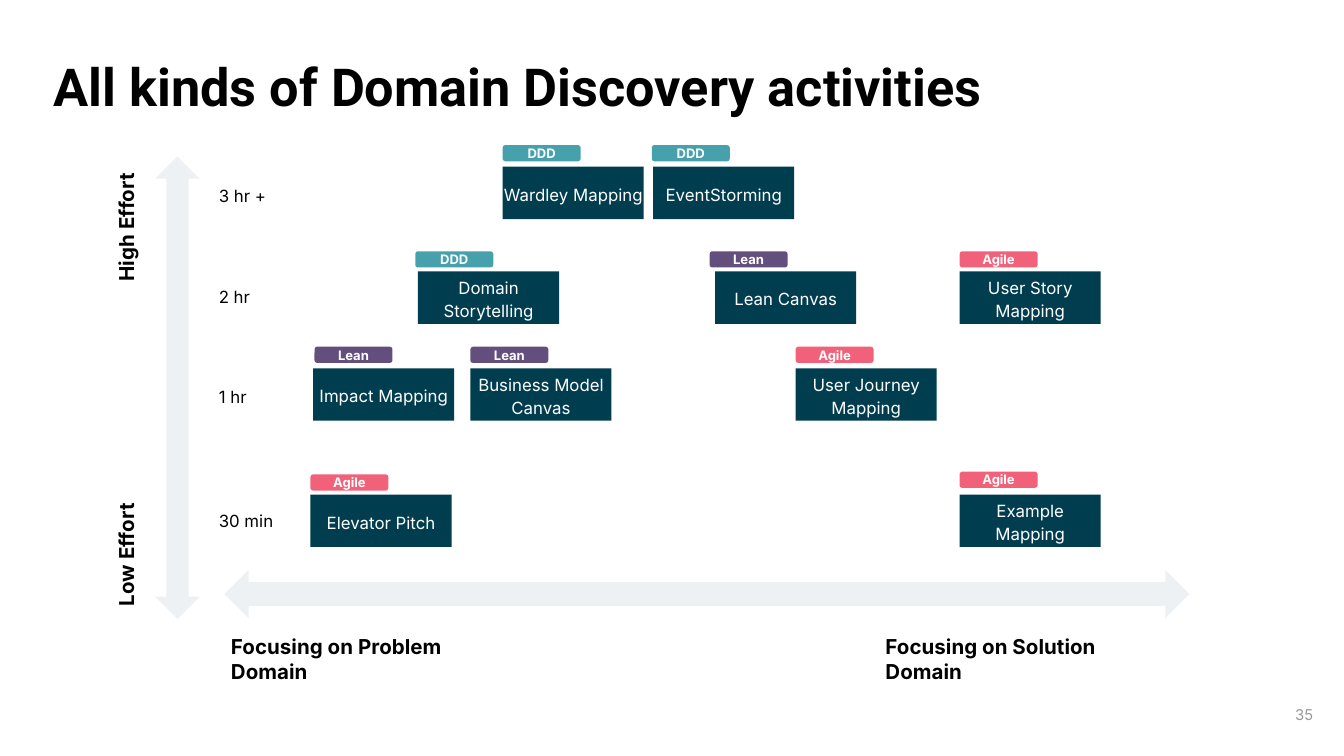
from pptx import Presentation
from pptx.dml.color import RGBColor
from pptx.enum.shapes import MSO_SHAPE as Shape
from pptx.enum.text import MSO_ANCHOR as Anchor, MSO_AUTO_SIZE as AutoSize, PP_ALIGN as Align
from pptx.util import Inches, Pt

# The grid has 100 columns; columns and rows are both a tenth of an inch
CELL = 0.1
COLUMNS, ROWS = 100, 56.25

COLORS = {
    "black": "000000",
    "white": "FFFFFF",
    "number": "999999",
    "arrow": "EDF1F3",
    "activity": "003D4F",
    "Lean": "634F7D",
    "DDD": "47A1AD",
    "Agile": "F2617A",
}

# Effort, label row, activity row, and activities as
# (name, column, method, tag column, tag row)
LANES = [
    ("3 hr +", 12.8, 12.4, [
        ("Wardley Mapping", 37.4, "DDD", 37.4, 10.8),
        ("EventStorming", 48.6, "DDD", 48.5, 10.8),
    ]),
    ("2 hr", 20.3, 20.2, [
        ("Domain Storytelling", 31.1, "DDD", 30.9, 18.7),
        ("Lean Canvas", 53.2, "Lean", 52.8, 18.7),
        ("User Story Mapping", 71.4, "Agile", 71.4, 18.7),
    ]),
    ("1 hr", 27.8, 27.4, [
        ("Impact Mapping", 23.3, "Lean", 23.4, 25.8),
        ("Business Model Canvas", 35, "Lean", 35, 25.8),
        ("User Journey Mapping", 59.2, "Agile", 59.2, 25.8),
    ]),
    ("30 min", 37, 36.8, [
        ("Elevator Pitch", 23.1, "Agile", 23.1, 35.3),
        ("Example Mapping", 71.4, "Agile", 71.4, 35.1),
    ]),
]


def grid(*cells):
    return [Inches(cell * CELL) for cell in cells]


def color(name):
    return RGBColor.from_string(COLORS[name])


class ActivityMap:
    font = "Inter"

    def __init__(self, presentation):
        self.slide = presentation.slides.add_slide(presentation.slide_layouts[5])
        self.groups = {}

    def add_text(self, shape, text, size, ink="black", bold=False, align=Align.LEFT,
                 anchor=Anchor.TOP, inset=0, spacing=None, font=None):
        frame = shape.text_frame
        frame.word_wrap = True
        frame.auto_size = AutoSize.NONE
        frame.vertical_anchor = anchor
        frame.margin_left = frame.margin_right = Inches(inset)
        frame.margin_top = frame.margin_bottom = Inches(inset)
        paragraph = frame.paragraphs[0]
        paragraph.alignment = align
        if spacing:
            paragraph.line_spacing = spacing
        run = paragraph.add_run()
        run.text = text
        run.font.name = font or self.font
        run.font.size = Pt(size)
        run.font.bold = bold
        run.font.color.rgb = color(ink)

    def title(self, text, *place):
        shape = self.slide.shapes.title
        shape.left, shape.top, shape.width, shape.height = grid(*place)
        self.add_text(shape, text, 28, bold=True, font="Roboto")

    def label(self, text, *place, size=9, rotation=0, **style):
        shape = self.slide.shapes.add_textbox(*grid(*place))
        shape.rotation = rotation
        self.add_text(shape, text, size, inset=0.1, **style)

    def block(self, kind, fill, *place, shapes=None):
        shape = (shapes or self.slide.shapes).add_shape(kind, *grid(*place))
        shape.shadow.inherit = False
        shape.fill.solid()
        shape.fill.fore_color.rgb = color(fill)
        shape.line.fill.background()
        return shape

    def arrow(self, *place, rotation=0):
        self.block(Shape.LEFT_RIGHT_ARROW, "arrow", *place).rotation = rotation

    def activity(self, name, column, row):
        shape = self.block(Shape.RECTANGLE, "activity", column, row, 10.5, 3.9)
        self.add_text(shape, name, 9, "white", align=Align.CENTER,
                      anchor=Anchor.MIDDLE, spacing=1.15)

    def tag(self, method, column, row):
        if method not in self.groups:
            self.groups[method] = self.slide.shapes.add_group_shape()
        # An empty shape collection is falsy, so the group is tested by name above
        shapes = self.groups[method].shapes
        shape = self.block(Shape.ROUNDED_RECTANGLE, method, column, row, 5.8, 1.2,
                           shapes=shapes)
        self.add_text(shape, method, 7, "white", bold=True, align=Align.CENTER,
                      anchor=Anchor.MIDDLE)


def main():
    presentation = Presentation()
    presentation.slide_width, presentation.slide_height = grid(COLUMNS, ROWS)
    activity_map = ActivityMap(presentation)

    # Title and page number
    activity_map.title("All kinds of Domain Discovery activities", 4, 4, 88.6, 5.7)
    activity_map.label("35", 92.7, 51, 6, 4.3, size=8, ink="number",
                       align=Align.RIGHT, anchor=Anchor.MIDDLE)

    # Effort axis
    activity_map.arrow(-4, 27.2, 34.4, 3.3, rotation=90)
    for text, row, align in [("High Effort", 17.9, Align.RIGHT),
                             ("Low Effort", 36.2, Align.LEFT)]:
        activity_map.label(text, 1.5, row, 15.9, 3.9, size=11, rotation=270,
                           bold=True, align=align)

    # Focus axis
    activity_map.arrow(16.7, 42.4, 71.8, 3.6)
    for focus, column, width in [("Problem", 16.2, 21.5), ("Solution", 64.9, 23.6)]:
        activity_map.label(f"Focusing on {focus} Domain", column, 46.2, width, 5.7,
                           size=11, bold=True)

    # Activities by effort, each with its method tag
    for effort, label_row, activity_row, activities in LANES:
        activity_map.label(effort, 15.3, label_row, 7.3, 3.5)
        for name, column, method, tag_column, tag_row in activities:
            activity_map.activity(name, column, activity_row)
            activity_map.tag(method, tag_column, tag_row)

    presentation.save("out.pptx")


if __name__ == "__main__":
    main()
